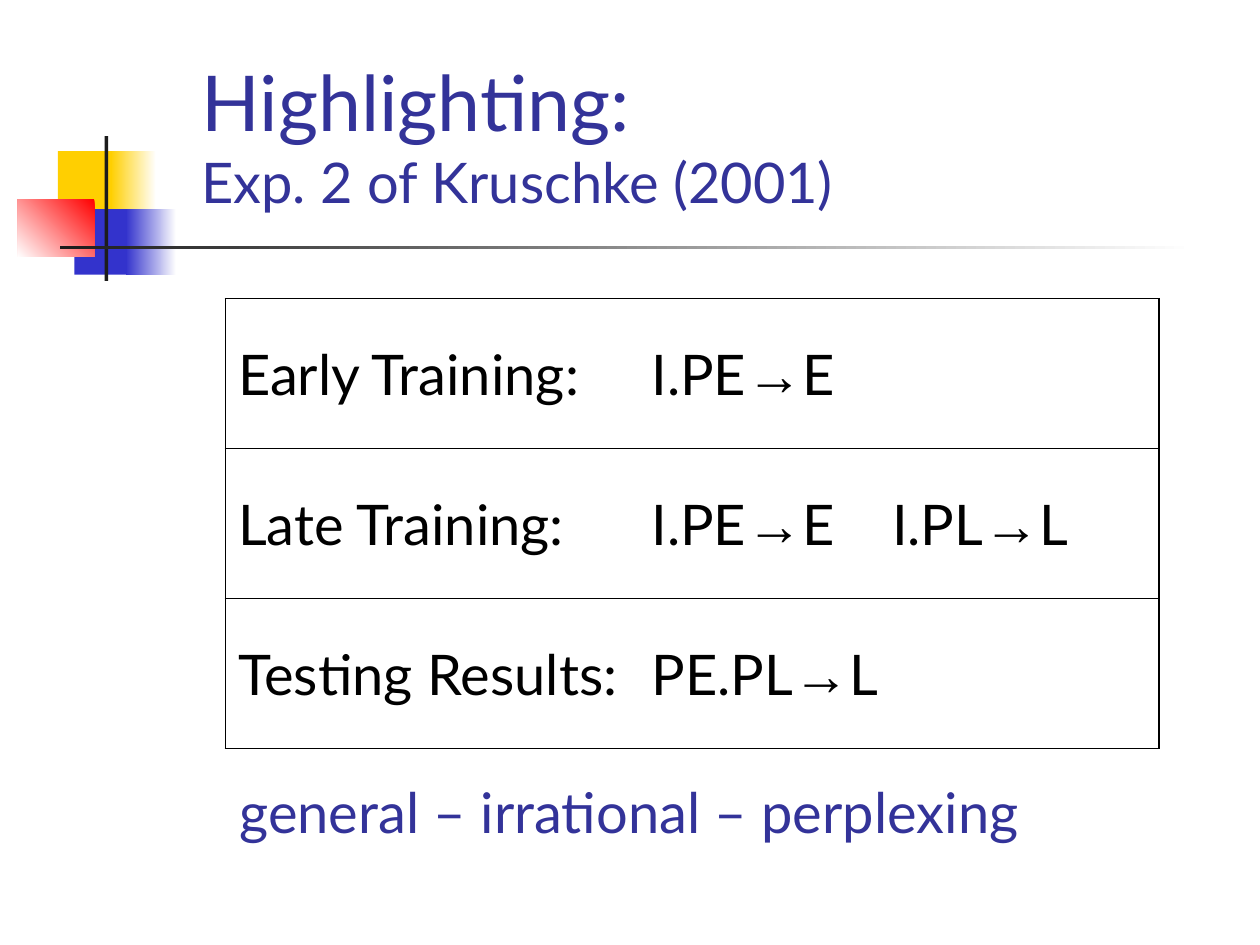
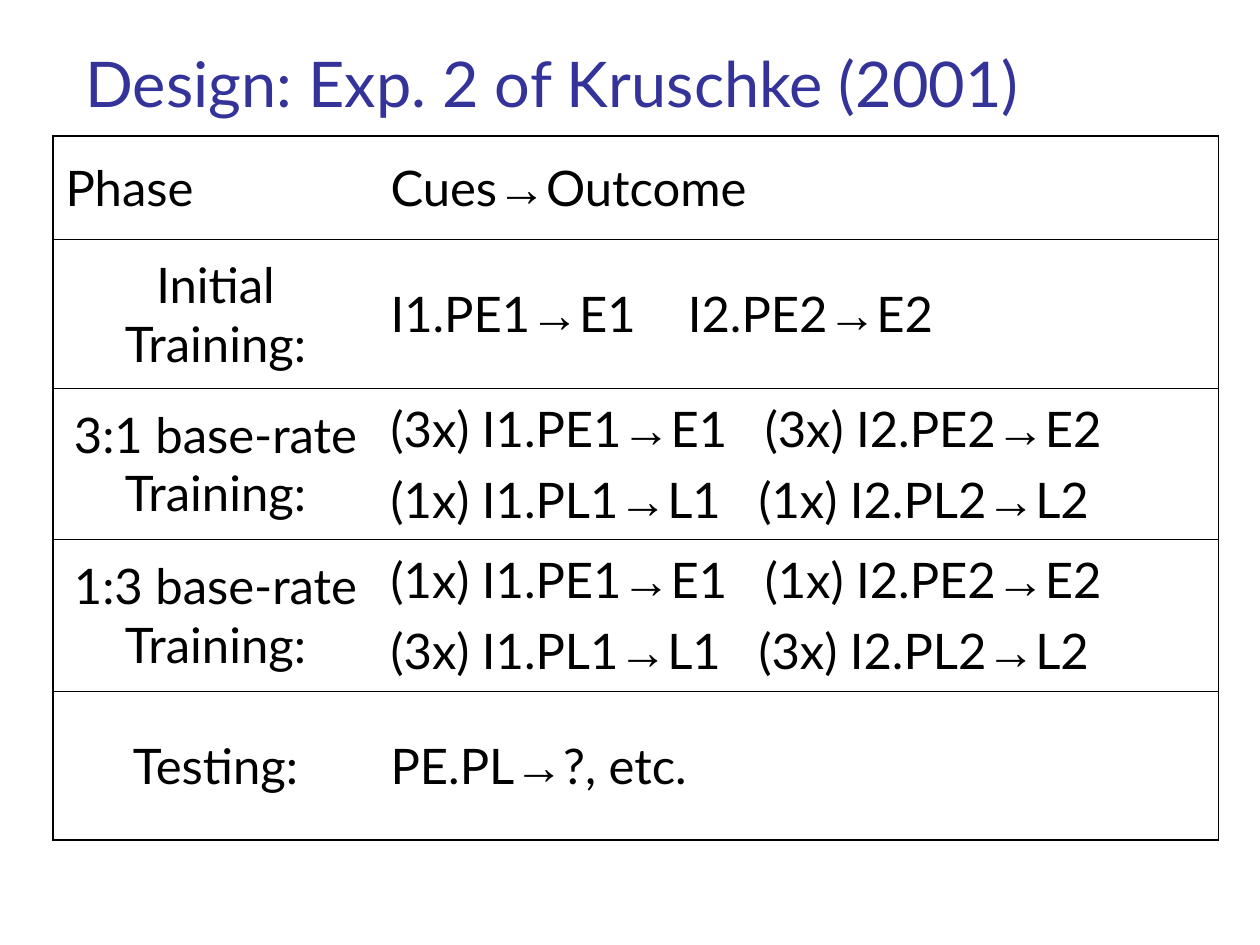
"""Build two slides on the highlighting experiment: its summary and its design."""
from dataclasses import dataclass
from itertools import groupby
from typing import Any, Optional

from lxml import etree
from pptx import Presentation
from pptx import util as u
from pptx.dml.color import RGBColor
from pptx.enum import shapes, text
from pptx.oxml import ns

COLORS = {
    "paper": "FFFFFF",
    "ink": "000000",
    "heading": "333399",
    "yellow": "FFCF01",
    "blue": "3333CC",
    "red": "FF0000",
    "charcoal": "1C1C1C",
}
BODY_FONT, ARROW_FONT = "Lato", "Arial"
ARROW = "→"
OUTER_RULE, INNER_RULE = u.Pt(1.08), u.Pt(0.45)
LEFT, CENTER = text.PP_ALIGN.LEFT, text.PP_ALIGN.CENTER


@dataclass(frozen=True)
class Box:
    left: float
    top: float
    width: float
    height: float

    def lengths(self) -> tuple:
        return tuple(map(u.Inches, (self.left, self.top, self.width, self.height)))


@dataclass(frozen=True)
class Swatch:
    box: Box
    start: str
    end: Optional[str] = None
    angle: int = 180


@dataclass(frozen=True)
class Line:
    words: str
    size: int
    color: str = "ink"
    align: Any = LEFT
    before: int = 0
    tab: Optional[float] = None


@dataclass(frozen=True)
class Grid:
    left: float
    top: float
    columns: tuple
    rows: tuple
    cells: list


EMBLEM = [
    Swatch(Box(0.46, 1.2, 0.48, 0.52), "yellow"),
    Swatch(Box(0.88, 1.2, 0.36, 0.52), "paper", "yellow"),
    Swatch(Box(0.59, 1.66, 0.46, 0.52), "blue"),
    Swatch(Box(1, 1.66, 0.4, 0.52), "paper", "blue"),
    Swatch(Box(0.14, 1.58, 0.61, 0.46), "red", "paper", 225),
    Swatch(Box(0.83, 1.08, 0.03, 1.15), "charcoal"),
    Swatch(Box(0.48, 1.95, 9, 0.03), "paper", "charcoal"),
]


def rgb(name: str) -> RGBColor:
    return RGBColor.from_string(COLORS[name])


def apply(target: Any, formats: dict) -> None:
    for attribute, value in formats.items():
        setattr(target, attribute, value)


def draw_swatch(slide: Any, swatch: Swatch) -> None:
    block = slide.shapes.add_shape(shapes.MSO_SHAPE.RECTANGLE, *swatch.box.lengths())
    block.shadow.inherit = False
    block.line.fill.background()
    if swatch.end is None:
        block.fill.solid()
        block.fill.fore_color.rgb = rgb(swatch.start)
        return
    block.fill.gradient()
    block.fill.gradient_angle = swatch.angle
    for stop, name in zip(block.fill.gradient_stops, (swatch.start, swatch.end)):
        stop.color.rgb = rgb(name)


def write_runs(paragraph: Any, line: Line) -> None:
    for is_arrow, letters in groupby(line.words, lambda letter: letter == ARROW):
        run = paragraph.add_run()
        run.text = "".join(letters)
        apply(run.font, {"size": u.Pt(line.size),
                         "name": ARROW_FONT if is_arrow else BODY_FONT})
        run.font.color.rgb = rgb(line.color)


def write_lines(frame: Any, lines: list) -> None:
    for index, line in enumerate(lines):
        paragraph = frame.add_paragraph() if index else frame.paragraphs[0]
        apply(paragraph, {"alignment": line.align, "space_before": u.Pt(line.before)})
        if line.tab is not None:
            stops = etree.SubElement(paragraph._p.get_or_add_pPr(), ns.qn("a:tabLst"))
            etree.SubElement(stops, ns.qn("a:tab"), pos=str(u.Inches(line.tab)), algn="l")
        write_runs(paragraph, line)


def draw_text(slide: Any, box: Box, lines: list, anchor: Any) -> None:
    frame = slide.shapes.add_textbox(*box.lengths()).text_frame
    apply(frame, {"word_wrap": True, "vertical_anchor": anchor})
    write_lines(frame, lines)


def draw_title(slide: Any, box: Box, *lines: Line) -> None:
    draw_text(slide, box, list(lines), text.MSO_ANCHOR.BOTTOM)


def rule_cell(cell: Any, sides: dict) -> None:
    properties = cell._tc.get_or_add_tcPr()
    for side, width in sides.items():
        edge = etree.SubElement(properties, ns.qn(f"a:ln{side}"), w=str(int(width)))
        if width:
            fill = etree.SubElement(edge, ns.qn("a:solidFill"))
            etree.SubElement(fill, ns.qn("a:srgbClr"), val=COLORS["ink"])
        else:
            etree.SubElement(edge, ns.qn("a:noFill"))


def draw_grid(slide: Any, grid: Grid) -> None:
    box = Box(grid.left, grid.top, sum(grid.columns), sum(grid.rows))
    row_count, column_count = len(grid.rows), len(grid.columns)
    table = slide.shapes.add_table(row_count, column_count, *box.lengths()).table
    apply(table, {"first_row": False, "horz_banding": False})
    for column, width in zip(table.columns, grid.columns):
        column.width = u.Inches(width)
    for row, height in zip(table.rows, grid.rows):
        row.height = u.Inches(height)
    for r, row_cells in enumerate(grid.cells):
        for c, lines in enumerate(row_cells):
            cell = table.cell(r, c)
            rule_cell(cell, {
                "L": 0 if c else OUTER_RULE,
                "R": OUTER_RULE if c == column_count - 1 else 0,
                "T": INNER_RULE if r else OUTER_RULE,
                "B": OUTER_RULE if r == row_count - 1 else INNER_RULE,
            })
            cell.fill.solid()
            cell.fill.fore_color.rgb = rgb("paper")
            cell.vertical_anchor = text.MSO_ANCHOR.MIDDLE
            write_lines(cell.text_frame, lines)


def summary_line(words: str, tab: Optional[float] = None) -> list:
    return [Line(words, 32, before=8, tab=tab)]


def design_line(words: str, align: Any = LEFT, tab: Optional[float] = None) -> Line:
    return Line(words, 28, align=align, before=7, tab=tab)


def base_rate_row(early: int, late: int) -> list:
    return [
        [design_line(f"{early}:{late} base-rate Training:", CENTER)],
        [design_line(f"({early}x) I1.PE1→E1\t({early}x) I2.PE2→E2", tab=2.97),
         design_line(f"({late}x) I1.PL1→L1\t({late}x) I2.PL2→L2", tab=2.92)],
    ]


def build_summary(slide: Any) -> None:
    for swatch in EMBLEM:
        draw_swatch(slide, swatch)
    draw_title(slide, Box(1.5, 0.42, 6.33, 1.33),
               Line("Highlighting:", 44, "heading"),
               Line("Exp. 2 of Kruschke (2001)", 32, "heading"))
    draw_grid(slide, Grid(1.79, 2.37, (3.28, 4.13), (1.19,) * 3, [
        [summary_line("Early Training:"), summary_line("I.PE→E")],
        [summary_line("Late Training:"), summary_line("I.PE→E\tI.PL→L", 1.91)],
        [summary_line("Testing Results:"), summary_line("PE.PL→L")],
    ]))
    draw_text(slide, Box(1.33, 6.12, 7.33, 0.64),
              [Line("general – irrational – perplexing", 32, "heading", CENTER)],
              text.MSO_ANCHOR.TOP)


def build_design(slide: Any) -> None:
    draw_title(slide, Box(0.58, 0.25, 8.83, 0.75),
               Line("Design: Exp. 2 of Kruschke (2001)", 36, "heading"))
    draw_grid(slide, Grid(0.42, 1.08, (2.58, 6.67), (0.82, 1.18, 1.2, 1.21, 1.18), [
        [[design_line("Phase")], [design_line("Cues→Outcome")]],
        [[design_line("Initial Training:", CENTER)],
         [design_line("I1.PE1→E1\tI2.PE2→E2", tab=2.36)]],
        base_rate_row(3, 1),
        base_rate_row(1, 3),
        [[design_line("Testing:", CENTER)], [design_line("PE.PL→?, etc.")]],
    ]))


def main() -> None:
    deck = Presentation()
    apply(deck, {"slide_width": u.Inches(10), "slide_height": u.Inches(7.5)})
    for build in (build_summary, build_design):
        slide = deck.slides.add_slide(deck.slide_layouts[6])
        slide.background.fill.solid()
        slide.background.fill.fore_color.rgb = rgb("paper")
        build(slide)
    deck.save("out.pptx")


if __name__ == "__main__":
    main()
